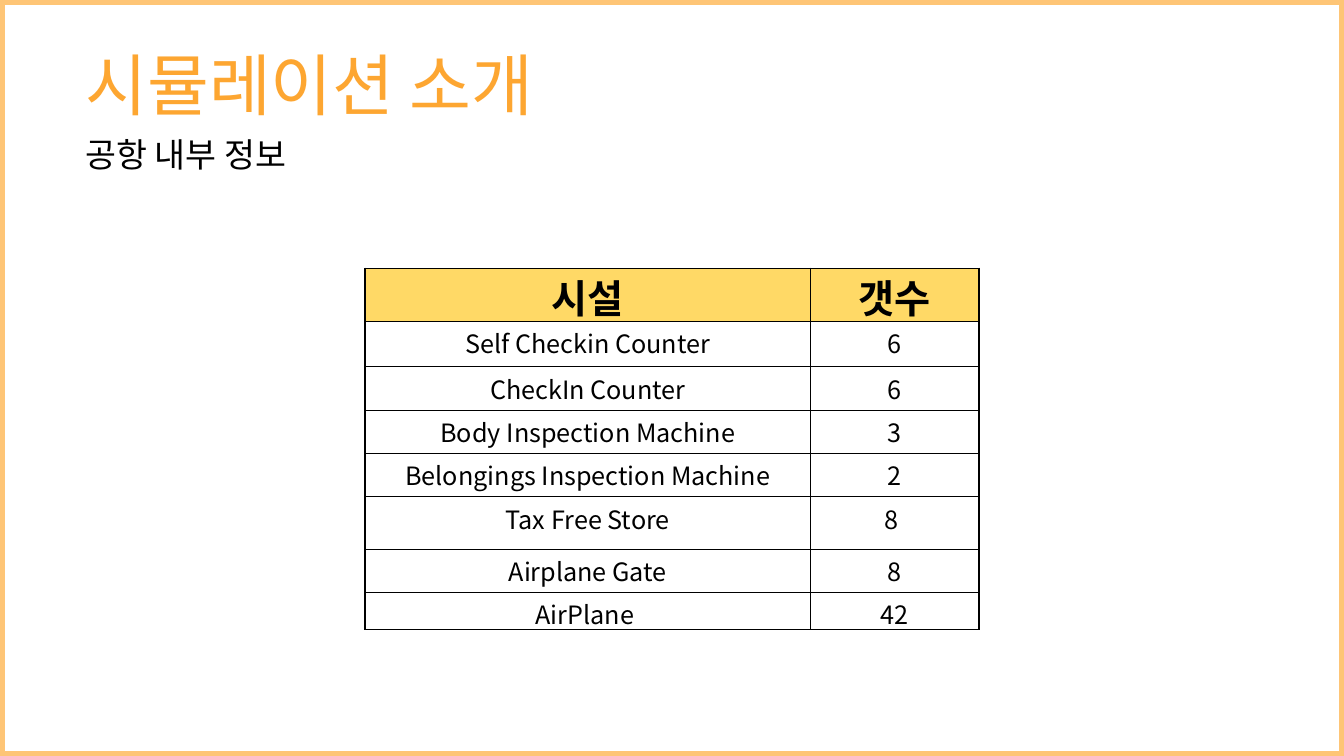
from lxml import etree
from pptx import Presentation
from pptx.dml.color import RGBColor
from pptx.enum.shapes import MSO_SHAPE
from pptx.enum.text import MSO_ANCHOR, MSO_AUTO_SIZE, PP_ALIGN
from pptx.oxml.ns import qn
from pptx.util import Inches, Pt

FRAME, TOP = MSO_SHAPE.FRAME, MSO_ANCHOR.TOP
CENTER, GROW = PP_ALIGN.CENTER, MSO_AUTO_SIZE.SHAPE_TO_FIT_TEXT

# Content
HEADINGS = [
    ("시뮬레이션 소개", (0.75, 0.38, 9.42, 0.91), {"size": 48, "color": "title"}),
    ("공항 내부 정보", (0.75, 1.28, 6.33, 0.5), {"size": 24, "color": "ink"}),
]
FACILITIES = [
    ("시설", "갯수"),
    ("Self Checkin Counter", "6"),
    ("CheckIn Counter", "6"),
    ("Body Inspection Machine", "3"),
    ("Belongings Inspection Machine", "2"),
    ("Tax Free Store", "8 "),
    ("Airplane Gate", "8"),
    ("AirPlane ", "42"),
]

# Format
FONT = "Noto Sans CJK KR"
COLORS = {"frame": "FEC576", "title": "FDA631", "ink": "000000",
          "header": "FFD966", "page": "FFFFFF"}
HEADER_TEXT = {"size": 28, "bold": True, "color": "ink"}
BODY_TEXT = {"size": 18, "bold": False, "color": "ink"}
TABLE_AT = (3.62, 2.66, 6.09, 3.65)
COLUMN_WIDTHS = [4.42, 1.67]
ROW_HEIGHTS = [0.53, 0.45, 0.43, 0.43, 0.43, 0.52, 0.43, 0.37]
BODY_MARGIN = 0.03


def rgb(name):
    return RGBColor.from_string(COLORS[name])


def write(para, text, style):
    span = para.add_run()
    span.text = text
    formats = {"name": FONT, "size": Pt(style["size"]), "bold": style.get("bold")}
    for name, value in formats.items():
        setattr(span.font, name, value)
    span.font.color.rgb = rgb(style["color"])
    east_asian = etree.SubElement(span.font._element, qn("a:ea"))
    east_asian.set("typeface", FONT)


def add_borders(cell):
    properties = cell._tc.get_or_add_tcPr()
    for index, side in enumerate(("lnL", "lnR", "lnT", "lnB")):
        border = etree.Element(qn("a:" + side), w=str(Pt(1)))
        fill = etree.SubElement(border, qn("a:solidFill"))
        etree.SubElement(fill, qn("a:srgbClr"), val=COLORS["ink"])
        properties.insert(index, border)


deck = Presentation()
deck.slide_width, deck.slide_height = Inches(13.33), Inches(7.5)
page = deck.slides.add_slide(deck.slide_layouts[6])

# Page frame
frame = page.shapes.add_shape(FRAME, 0, 0, deck.slide_width, deck.slide_height)
frame.adjustments[0] = 0.006
frame.shadow.inherit = False
frame.fill.solid()
frame.fill.fore_color.rgb = rgb("frame")
frame.line.color.rgb = rgb("frame")
frame.line.width = Pt(1)

# Headings
for text, place, style in HEADINGS:
    box = page.shapes.add_textbox(*map(Inches, place))
    box.text_frame.word_wrap = True
    box.text_frame.auto_size = GROW
    write(box.text_frame.paragraphs[0], text, style)

# Facility table
table = page.shapes.add_table(
    len(FACILITIES), len(COLUMN_WIDTHS), *map(Inches, TABLE_AT)).table
for column, width in zip(table.columns, COLUMN_WIDTHS):
    column.width = Inches(width)
for row_index, (height, values) in enumerate(zip(ROW_HEIGHTS, FACILITIES)):
    is_header = row_index == 0
    table.rows[row_index].height = Inches(height)
    for column_index, value in enumerate(values):
        cell = table.cell(row_index, column_index)
        cell_format = {
            "vertical_anchor": TOP,
            "margin_top": 0 if is_header else Inches(BODY_MARGIN),
            "margin_bottom": 0,
        }
        for name, setting in cell_format.items():
            setattr(cell, name, setting)
        cell.fill.solid()
        cell.fill.fore_color.rgb = rgb("header" if is_header else "page")
        add_borders(cell)
        para = cell.text_frame.paragraphs[0]
        para.alignment = CENTER
        write(para, value, HEADER_TEXT if is_header else BODY_TEXT)

deck.save("out.pptx")
